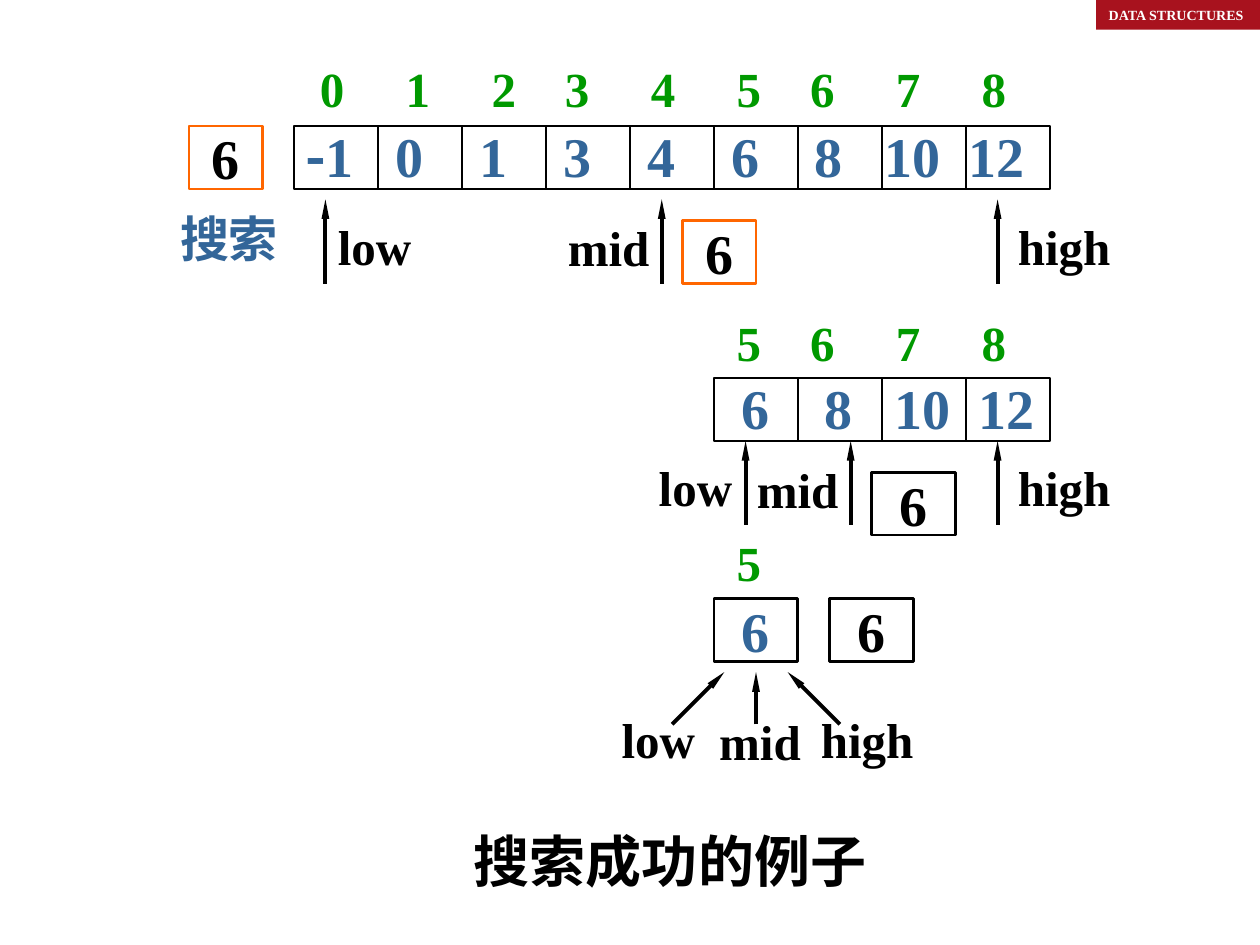
from dataclasses import dataclass
from itertools import accumulate
from typing import NamedTuple, Optional, Sequence

from lxml import etree
from pptx import Presentation, util as u
from pptx.dml.color import RGBColor
from pptx.enum import shapes as es, text as et
from pptx.oxml import ns


@dataclass(frozen=True)
class Theme:
    latin: str = "Times New Roman"
    cjk: str = "Noto Sans CJK SC"
    black: str = "000000"
    white: str = "FFFFFF"
    value: str = "336699"
    index: str = "009900"
    key: str = "FF6600"
    banner: str = "A8121E"
    small: float = 8
    label: float = 28
    big: float = 32
    thin: float = 1.5
    thick: float = 2.25


T = Theme()
CELL = 5.08 / 3  # cell width in cm
CELL_H = 1.27
ARRAY_LEFT = 5.93


class Array(NamedTuple):
    first: int
    count: int
    top: float


class Row(NamedTuple):
    """Numbers set on tab stops; advances are the steps between them in cm."""
    items: Sequence[str]
    advances: Sequence[float]
    left: float
    top: float
    width: float
    size: float
    color: str


class Box(NamedTuple):
    left: float
    top: float
    width: float
    line: str
    color: str = T.black


class Label(NamedTuple):
    text: str
    left: float
    top: float
    color: str = T.black


class Arrow(NamedTuple):
    x1: float
    y1: float
    x2: float
    y2: float


ARRAYS = [Array(0, 9, 2.54), Array(5, 4, 7.62)]
INDEX_STEPS = [1.73, 1.73, 1.48, 1.73, 1.73, 1.48, 1.73, 1.73]
VALUE_STEPS = [1.83] + [1.69] * 5 + [1.41, 1.69]
INDICES = [str(i) for i in range(9)]
VALUES = ["-1", "0", "1", "3", "4", "6", "8", "10", "12"]
ROWS = [
    Row(INDICES, INDEX_STEPS, 6.2, 1.06, 14.3, T.label, T.index),
    Row(VALUES, VALUE_STEPS, 5.9, 2.32, 15.32, T.big, T.value),
    Row(INDICES[5:], INDEX_STEPS[5:], 14.6, 6.17, 5.92, T.label, T.index),
    Row(VALUES[5:], VALUE_STEPS[5:], 14.69, 7.4, 6.45, T.big, T.value),
    Row(INDICES[5:6], [], 14.6, 10.62, 0.99, T.label, T.index),
]
BOXES = [
    Box(3.81, 2.54, 1.48, T.key),
    Box(13.76, 4.45, 1.48, T.key),
    Box(17.57, 9.52, CELL, T.black),
    Box(14.39, 12.07, CELL, T.black, T.value),
    Box(16.72, 12.07, CELL, T.black),
]
LABEL_WIDTH = {"low": 1.98, "mid": 2.13, "high": 2.36, "搜索": 2.46}
LABELS = [
    Label("搜索", 3.38, 4.07, T.value),
    Label("low", 6.56, 4.24), Label("mid", 11.2, 4.27), Label("high", 20.27, 4.24),
    Label("low", 13.03, 9.1), Label("mid", 15.01, 9.13), Label("high", 20.27, 9.1),
    Label("low", 12.28, 14.17), Label("mid", 14.25, 14.22), Label("high", 16.3, 14.17),
]
ARROWS = [
    *(Arrow(x, 5.72, x, 4.02) for x in (6.56, 13.34, 20.11)),
    *(Arrow(x, 10.58, x, 8.89) for x in (15.03, 17.15, 20.11)),
    Arrow(13.55, 14.6, 14.6, 13.55),
    Arrow(15.24, 14.6, 15.24, 13.55),
    Arrow(16.93, 14.6, 15.88, 13.55),
]


def apply(obj, **fmt) -> None:
    for name, value in fmt.items():
        setattr(obj, name, value)


def add_run(p, content: str, size: float, color: str, font: str = T.latin) -> None:
    r = p.add_run()
    r.text = content
    apply(r.font, size=u.Pt(size), bold=True, name=font)
    r.font.color.rgb = RGBColor.from_string(color)
    if not content.isascii():
        etree.SubElement(r.font._element, ns.qn("a:ea"), typeface=T.cjk)


def add_text_box(s, left: float, top: float, width: float, height: float):
    """Add a one-line box; without a right margin its text cannot break."""
    sp = s.shapes.add_textbox(*map(u.Cm, (left, top, width, height)))
    apply(sp.text_frame, word_wrap=True, margin_right=0,
          auto_size=et.MSO_AUTO_SIZE.SHAPE_TO_FIT_TEXT)
    return sp.text_frame.paragraphs[0]


def add_rect(s, left: float, top: float, width: float, height: float,
             line: Optional[str] = None, fill: Optional[str] = None):
    sp = s.shapes.add_shape(es.MSO_SHAPE.RECTANGLE, *map(u.Cm, (left, top, width, height)))
    sp.shadow.inherit = False
    if fill:
        sp.fill.solid()
        sp.fill.fore_color.rgb = RGBColor.from_string(fill)
    else:
        sp.fill.background()
    if line:
        sp.line.color.rgb = RGBColor.from_string(line)
        sp.line.width = u.Pt(T.thin)
    else:
        sp.line.fill.background()
    apply(sp.text_frame, word_wrap=False, vertical_anchor=et.MSO_ANCHOR.MIDDLE)
    return sp


def add_line(s, ends: Arrow, width: float, head: bool = False) -> None:
    cx = s.shapes.add_connector(es.MSO_CONNECTOR.STRAIGHT, *map(u.Cm, ends))
    cx.line.color.rgb = RGBColor.from_string(T.black)
    cx.line.width = u.Pt(width)
    if head:
        etree.SubElement(cx.line._get_or_add_ln(), ns.qn("a:tailEnd"),
                         type="triangle", w="sm", len="lg")
    etree.SubElement(cx._element.spPr, ns.qn("a:effectLst"))


def add_array(s, a: Array) -> None:
    left = ARRAY_LEFT + a.first * CELL
    add_rect(s, left, a.top, a.count * CELL, CELL_H, T.black)
    for i in range(1, a.count):
        x = left + i * CELL
        add_line(s, Arrow(x, a.top, x, a.top + CELL_H), T.thin)


def add_row(s, row: Row) -> None:
    p = add_text_box(s, row.left, row.top, row.width, 1.63 if row.size == T.big else 1.45)
    if row.advances:
        tabs = etree.SubElement(p._p.get_or_add_pPr(), ns.qn("a:tabLst"))
        for stop in accumulate(row.advances):
            etree.SubElement(tabs, ns.qn("a:tab"), pos=str(int(u.Cm(stop))), algn="l")
    content = "\t".join(row.items)
    if content.startswith("-"):
        add_run(p, "-", row.size, row.color, T.cjk)
    add_run(p, content.removeprefix("-"), row.size, row.color)


def add_box(s, box: Box) -> None:
    sp = add_rect(s, box.left, box.top, box.width, CELL_H, box.line)
    p = sp.text_frame.paragraphs[0]
    p.alignment = et.PP_ALIGN.CENTER
    add_run(p, "6", T.big, box.color)


def add_label(s, label: Label) -> None:
    p = add_text_box(s, label.left, label.top, LABEL_WIDTH[label.text], 1.45)
    add_run(p, label.text, T.label, label.color)


def add_banner(s) -> None:
    sp = add_rect(s, 22.1, 0, 3.3, 0.6, fill=T.banner)
    p = sp.text_frame.paragraphs[0]
    p.alignment = et.PP_ALIGN.LEFT
    add_run(p, "DATA STRUCTURES", T.small, T.white)


def set_title(s) -> None:
    sp = s.shapes.title
    apply(sp, left=u.Cm(9.3), top=u.Cm(16.54), width=u.Cm(8.89), height=u.Cm(1.63))
    apply(sp.text_frame, word_wrap=True, auto_size=et.MSO_AUTO_SIZE.NONE,
          vertical_anchor=et.MSO_ANCHOR.TOP)
    p = sp.text_frame.paragraphs[0]
    p.alignment = et.PP_ALIGN.LEFT
    add_run(p, "搜索成功的例子", T.big, T.black, T.cjk)


def main() -> None:
    prs = Presentation()
    apply(prs, slide_width=u.Cm(25.4), slide_height=u.Cm(19.05))
    s = prs.slides.add_slide(prs.slide_layouts[5])
    add_banner(s)
    set_title(s)
    for draw, items in ((add_array, ARRAYS), (add_row, ROWS), (add_box, BOXES), (add_label, LABELS)):
        for item in items:
            draw(s, item)
    for arrow in ARROWS:
        add_line(s, arrow, T.thick, head=True)
    prs.save("out.pptx")


if __name__ == "__main__":
    main()
